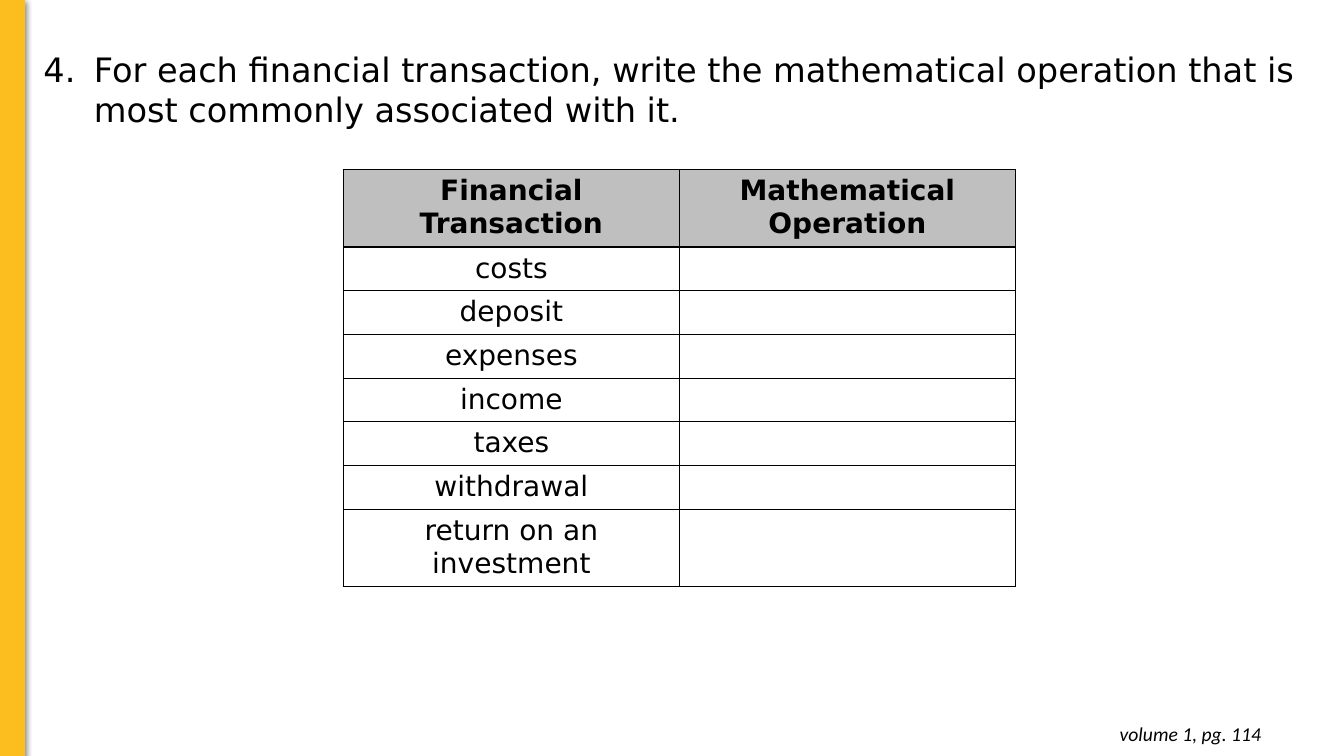
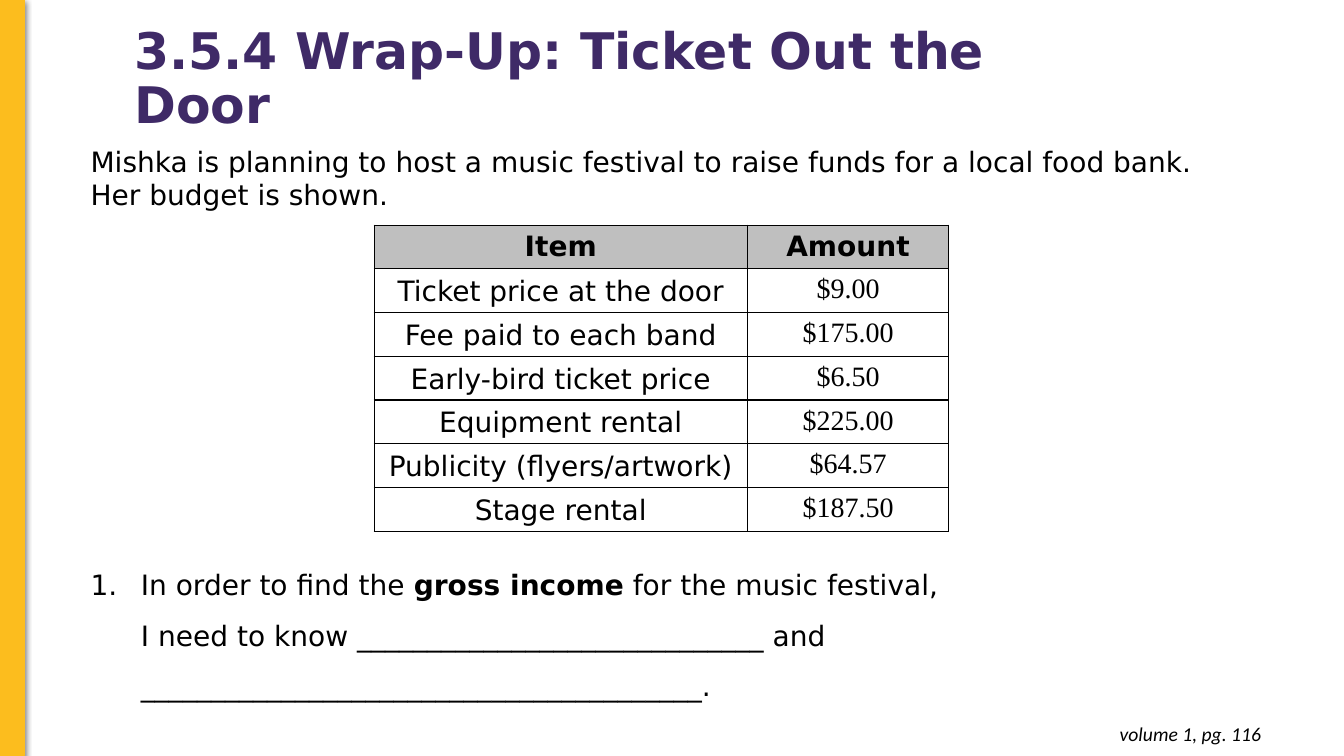
from lxml import etree
from pptx import Presentation
from pptx.dml.color import RGBColor
from pptx.enum.shapes import MSO_SHAPE
from pptx.enum.text import MSO_ANCHOR, MSO_AUTO_SIZE, PP_ALIGN
from pptx.oxml.ns import qn
from pptx.util import Pt

COLORS = {"ink": "000000", "title": "3F2A67", "bar": "FCBD1E", "header": "BFBFBF"}
SANS, SERIF, FOOT = "DejaVu Sans", "Times New Roman", "Calibri"
WIDTH, HEIGHT = 960, 540
TITLE_ONLY, BLANK = 5, 6
ROW, TALL_ROW = 31.2, 55.4


def rgb(name):
    return RGBColor.from_string(COLORS[name])


def sub(parent, tag, **attrs):
    return etree.SubElement(parent, qn(tag), {k: str(v) for k, v in attrs.items()})


def sub_color(parent, name):
    return sub(parent, "a:srgbClr", val=COLORS[name])


def add_run(p, text, size, font=SANS, color="ink", bold=False, italic=False):
    r = p.add_run()
    r.text = text
    f = r.font
    f.size, f.name, f.bold, f.italic = Pt(size), font, bold, italic
    f.color.rgb = rgb(color)


def add_text_box(s, left, top, width, height, inset=(7.2, 3.6)):
    """Add a wrapping text box and return its first paragraph."""
    tf = s.shapes.add_textbox(Pt(left), Pt(top), Pt(width), Pt(height)).text_frame
    tf.word_wrap = True
    tf.margin_left = tf.margin_right = Pt(inset[0])
    tf.margin_top = tf.margin_bottom = Pt(inset[1])
    return tf.paragraphs[0]


def number_paragraph(p, start=1):
    pPr = p._p.get_or_add_pPr()
    pPr.set("marL", str(Pt(36)))
    pPr.set("indent", str(-Pt(36)))
    sub_color(sub(pPr, "a:buClr"), "ink")
    sub(pPr, "a:buAutoNum", type="arabicPeriod", startAt=start)


def add_side_bar(s):
    bar = s.shapes.add_shape(MSO_SHAPE.RECTANGLE, 0, 0, Pt(17.5), Pt(HEIGHT))
    bar.fill.solid()
    bar.fill.fore_color.rgb = rgb("bar")
    bar.line.color.rgb = rgb("bar")
    bar.line.width = Pt(0.75)
    bar.shadow.inherit = False
    effects = bar._element.spPr.find(qn("a:effectLst"))
    shadow = sub(effects, "a:outerShdw", blurRad=Pt(4.5), dist=Pt(1.5),
                 dir=5400000, rotWithShape=0)
    sub(sub_color(shadow, "ink"), "a:alpha", val=50000)


def add_page_reference(s, page):
    p = add_text_box(s, 700.5, 508.3, 207.5, 31.5, inset=(7.2, 7.2))
    p.alignment = PP_ALIGN.RIGHT
    add_run(p, f"volume 1, pg. {page}", 14, FOOT, italic=True)


def add_title(s, text, left, top, width, height):
    title = s.shapes.title
    title.left, title.top = Pt(left), Pt(top)
    title.width, title.height = Pt(width), Pt(height)
    tf = title.text_frame
    tf.word_wrap = True
    tf.auto_size = MSO_AUTO_SIZE.NONE
    tf.vertical_anchor = MSO_ANCHOR.MIDDLE
    p = tf.paragraphs[0]
    p.alignment = PP_ALIGN.LEFT
    p.line_spacing = 0.9
    add_run(p, text, 36, color="title", bold=True)


def format_cell(cell, is_header):
    tcPr = cell._tc.get_or_add_tcPr()
    for side in "LRTB":
        line = sub(tcPr, f"a:ln{side}", w=Pt(1))
        sub_color(sub(line, "a:solidFill"), "ink")
    if is_header:
        cell.fill.solid()
        cell.fill.fore_color.rgb = rgb("header")
    else:
        cell.fill.background()


def add_grid(s, left, top, widths, heights, rows, value_font=SANS, tight_labels=False):
    """Add a bordered table; tight labels are middled, without vertical margins."""
    table = s.shapes.add_table(len(rows), len(widths), Pt(left), Pt(top),
                               Pt(sum(widths)), Pt(sum(heights))).table
    table.first_row = table.horz_banding = False
    for column, width in zip(table.columns, widths):
        column.width = Pt(width)
    for i, (height, row) in enumerate(zip(heights, rows)):
        table.rows[i].height = Pt(height)
        for j, text in enumerate(row):
            cell, is_header = table.cell(i, j), i == 0
            format_cell(cell, is_header)
            p = cell.text_frame.paragraphs[0]
            p.alignment = PP_ALIGN.CENTER
            if tight_labels and j == 0 and not is_header:
                cell.vertical_anchor = MSO_ANCHOR.MIDDLE
                cell.margin_left = cell.margin_right = Pt(5)
                cell.margin_top = cell.margin_bottom = 0
                p.line_spacing = 1.07
            if text:
                font = value_font if j and not is_header else SANS
                add_run(p, text, 20, font, bold=is_header)


def add_page(prs, layout, page):
    s = prs.slides.add_slide(prs.slide_layouts[layout])
    add_side_bar(s)
    add_page_reference(s, page)
    return s


def build_transactions(prs):
    s = add_page(prs, BLANK, 114)
    p = add_text_box(s, 24, 31.5, 922, 65.5)
    number_paragraph(p, start=4)
    add_run(p, "For each financial transaction, write the mathematical operation "
               "that is most commonly associated with it.", 24)
    transactions = ["costs", "deposit", "expenses", "income", "taxes",
                    "withdrawal", "return on an investment"]
    rows = [("Financial Transaction", "Mathematical Operation")]
    rows += [(name, "") for name in transactions]
    add_grid(s, 245.3, 121, [240, 240], [TALL_ROW] + [ROW] * 6 + [TALL_ROW], rows)


def build_wrap_up(prs):
    s = add_page(prs, TITLE_ONLY, 116)
    add_title(s, "3.5.4 Wrap-Up: Ticket Out the Door", 88.8, 5, 631.5, 104.5)
    p = add_text_box(s, 57.6, 99.4, 830, 54)
    add_run(p, "Mishka is planning to host a music festival to raise funds for a "
               "local food bank. Her budget is shown.", 20)
    rows = [("Item", "Amount"),
            ("Ticket price at the door", "$9.00"),
            ("Fee paid to each band", "$175.00"),
            ("Early-bird ticket price", "$6.50"),
            ("Equipment rental", "$225.00"),
            ("Publicity (flyers/artwork)", "$64.57"),
            ("Stage rental", "$187.50")]
    add_grid(s, 267.3, 160.8, [266.5, 144], [ROW] * len(rows), rows, SERIF, True)

    p = add_text_box(s, 57.6, 390, 830, 114)
    p.line_spacing = 1.5
    number_paragraph(p)
    add_run(p, "In order to find the ", 20)
    add_run(p, "gross income", 20, bold=True)
    add_run(p, " for the music festival,", 20)
    p.add_line_break()
    add_run(p, f"I need to know {'_' * 29} and {'_' * 40}.", 20)


def main():
    prs = Presentation()
    prs.slide_width, prs.slide_height = Pt(WIDTH), Pt(HEIGHT)
    build_transactions(prs)
    build_wrap_up(prs)
    prs.save("out.pptx")


if __name__ == "__main__":
    main()
